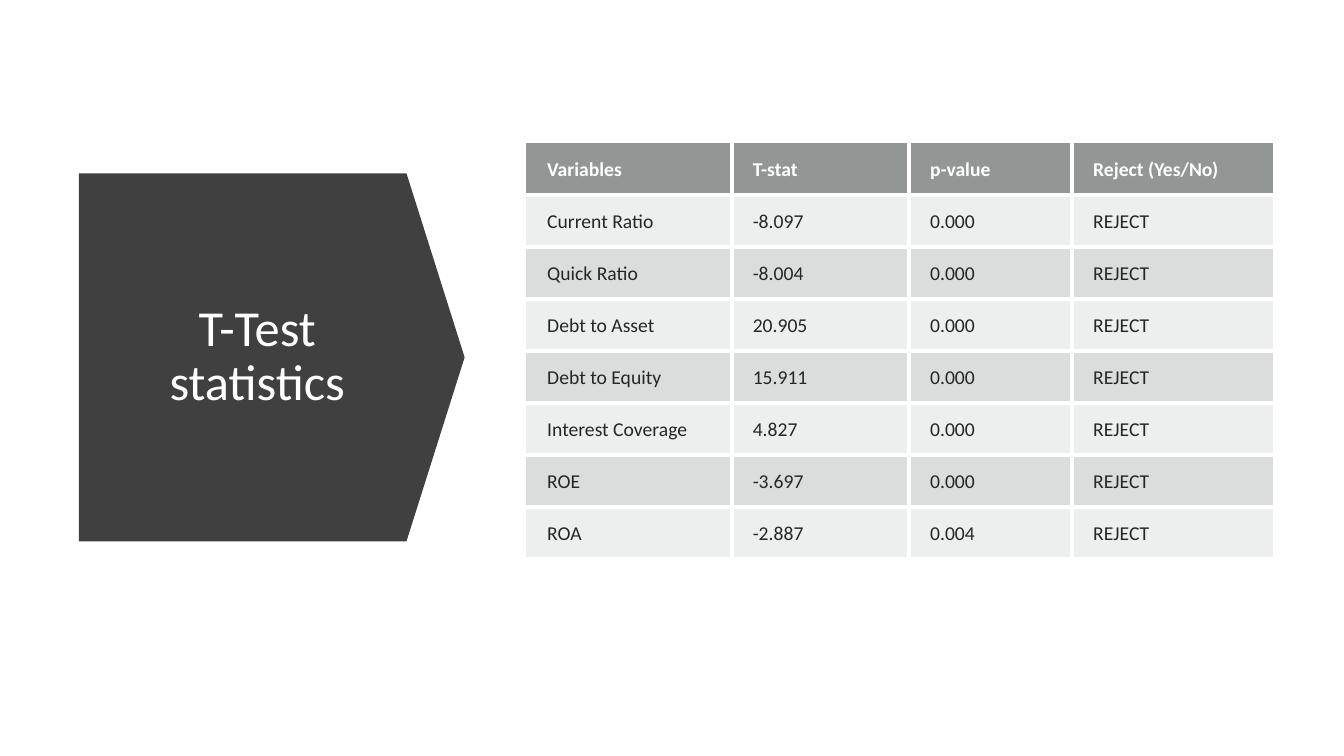
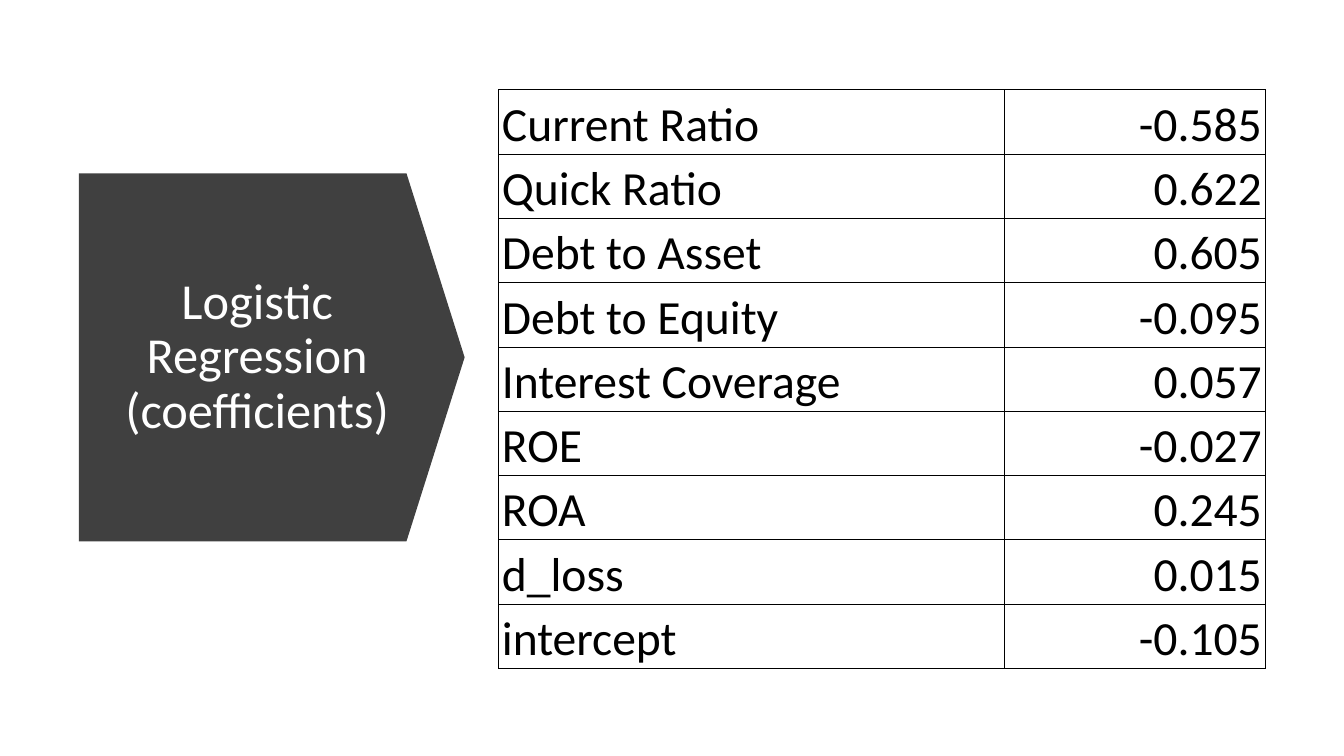
"""Build two slides that show test statistics and regression coefficients."""
from lxml import etree
from pptx import Presentation
from pptx.dml.color import RGBColor
from pptx.enum.shapes import MSO_SHAPE
from pptx.enum.text import MSO_ANCHOR, PP_ALIGN
from pptx.oxml.ns import qn
from pptx.util import Cm, Pt

ARROW = MSO_SHAPE.PENTAGON
MIDDLE, BOTTOM = MSO_ANCHOR.MIDDLE, MSO_ANCHOR.BOTTOM
LEFT, CENTER, RIGHT = PP_ALIGN.LEFT, PP_ALIGN.CENTER, PP_ALIGN.RIGHT

FONT = "Calibri"
WHITE, BLACK, DARK, INK = "FFFFFF", "000000", "404040", "262626"
HEAD, PALE, GREY = "929795", "EDEEEE", "DBDDDC"

TESTS = [
    ("Variables", "T-stat", "p-value", "Reject (Yes/No)"),
    ("Current Ratio", "-8.097", "0.000", "REJECT"),
    ("Quick Ratio", "-8.004", "0.000", "REJECT"),
    ("Debt to Asset", "20.905", "0.000", "REJECT"),
    ("Debt to Equity", "15.911", "0.000", "REJECT"),
    ("Interest Coverage", "4.827", "0.000", "REJECT"),
    ("ROE", "-3.697", "0.000", "REJECT"),
    ("ROA", "-2.887", "0.004", "REJECT"),
]
COEFFS = [
    ("Current Ratio", "-0.585"),
    ("Quick Ratio", "0.622"),
    ("Debt to Asset", "0.605"),
    ("Debt to Equity", "-0.095"),
    ("Interest Coverage", "0.057"),
    ("ROE", "-0.027"),
    ("ROA", "0.245"),
    ("d_loss", "0.015"),
    ("intercept", "-0.105"),
]
SLIDES = [
    {
        "title": "T-Test statistics", "rows": TESTS,
        "at": (13.26, 3.61), "cols": (5.18, 4.47, 4.11, 5.05), "high": 1.31,
        "pad": (0.53, 0.33, 0.33, 0.33), "size": 14, "ink": INK,
        "aligns": (LEFT,) * 4, "banded": True, "line": (WHITE, 3),
    },
    {
        "title": "Logistic Regression (coefficients)", "rows": COEFFS,
        "at": (12.57, 2.26), "cols": (12.73, 6.58), "high": 1.62,
        "pad": (0.08, 0.08, 0.08, 0), "size": 34, "ink": BLACK,
        "aligns": (LEFT, RIGHT), "banded": False, "line": (BLACK, 0.5),
    },
]


def rgb(code):
    """Turn a hex string into a colour."""
    return RGBColor.from_string(code)


def write(frame, text, size, ink, align, bold=False):
    """Put one styled paragraph into a text frame."""
    frame.text = text
    para = frame.paragraphs[0]
    para.alignment = align
    font = para.runs[0].font
    font.name, font.size, font.bold = FONT, Pt(size), bold
    font.color.rgb = rgb(ink)
    return para


def inset(box, left, top, right, bottom):
    """Set the four margins of a cell or text frame."""
    box.margin_left, box.margin_top = Cm(left), Cm(top)
    box.margin_right, box.margin_bottom = Cm(right), Cm(bottom)


def add_title(slide, text):
    """Draw the dark arrow that holds the slide title."""
    arrow = slide.shapes.add_shape(ARROW, Cm(1.99), Cm(4.37), Cm(9.72), Cm(9.27))
    arrow.adjustments[0] = 0.158
    arrow.shadow.inherit = False
    arrow.fill.solid()
    arrow.fill.fore_color.rgb = rgb(DARK)
    arrow.line.fill.background()
    frame = arrow.text_frame
    frame.word_wrap = True
    frame.vertical_anchor = MIDDLE
    inset(frame, 1.09, 0.13, 1.09, 0.13)
    write(frame, text, 36, WHITE, CENTER).line_spacing = 0.9


def border(cell, sides, color, width):
    """Draw lines on the given sides of a cell."""
    props = cell._tc.get_or_add_tcPr()
    for side in "LRTB":
        line = etree.SubElement(props, qn(f"a:ln{side}"), w=str(Pt(width)))
        if side in sides:
            fill = etree.SubElement(line, qn("a:solidFill"))
            etree.SubElement(fill, qn("a:srgbClr"), val=color)
        else:
            etree.SubElement(line, qn("a:noFill"))


def add_grid(slide, data):
    """Draw the table, banded with inner lines or plain with all lines."""
    rows, cols, banded = data["rows"], data["cols"], data["banded"]
    left, top = data["at"]
    table = slide.shapes.add_table(
        len(rows), len(cols), Cm(left), Cm(top),
        Cm(sum(cols)), Cm(data["high"] * len(rows))).table
    table.first_row = table.horz_banding = False
    for col, width in zip(table.columns, cols):
        col.width = Cm(width)
    for i, row in enumerate(rows):
        table.rows[i].height = Cm(data["high"])
        head = banded and i == 0
        for j, text in enumerate(row):
            cell = table.cell(i, j)
            inset(cell, *data["pad"])
            cell.vertical_anchor = BOTTOM
            ink = WHITE if head else data["ink"]
            write(cell.text_frame, text, data["size"], ink, data["aligns"][j], head)
            sides = "LRTB"
            if banded:
                edges = {"L": j > 0, "R": j < len(cols) - 1, "T": i > 0, "B": True}
                sides = [side for side, shown in edges.items() if shown]
            border(cell, sides, *data["line"])
            if banded:
                cell.fill.solid()
                tone = HEAD if head else (GREY, PALE)[i % 2]
                cell.fill.fore_color.rgb = rgb(tone)
            else:
                cell.fill.background()


def main():
    """Build and save the deck."""
    deck = Presentation()
    deck.slide_width, deck.slide_height = Cm(33.87), Cm(19.05)
    for data in SLIDES:
        slide = deck.slides.add_slide(deck.slide_layouts[6])
        add_title(slide, data["title"])
        add_grid(slide, data)
    deck.save("out.pptx")


if __name__ == "__main__":
    main()
